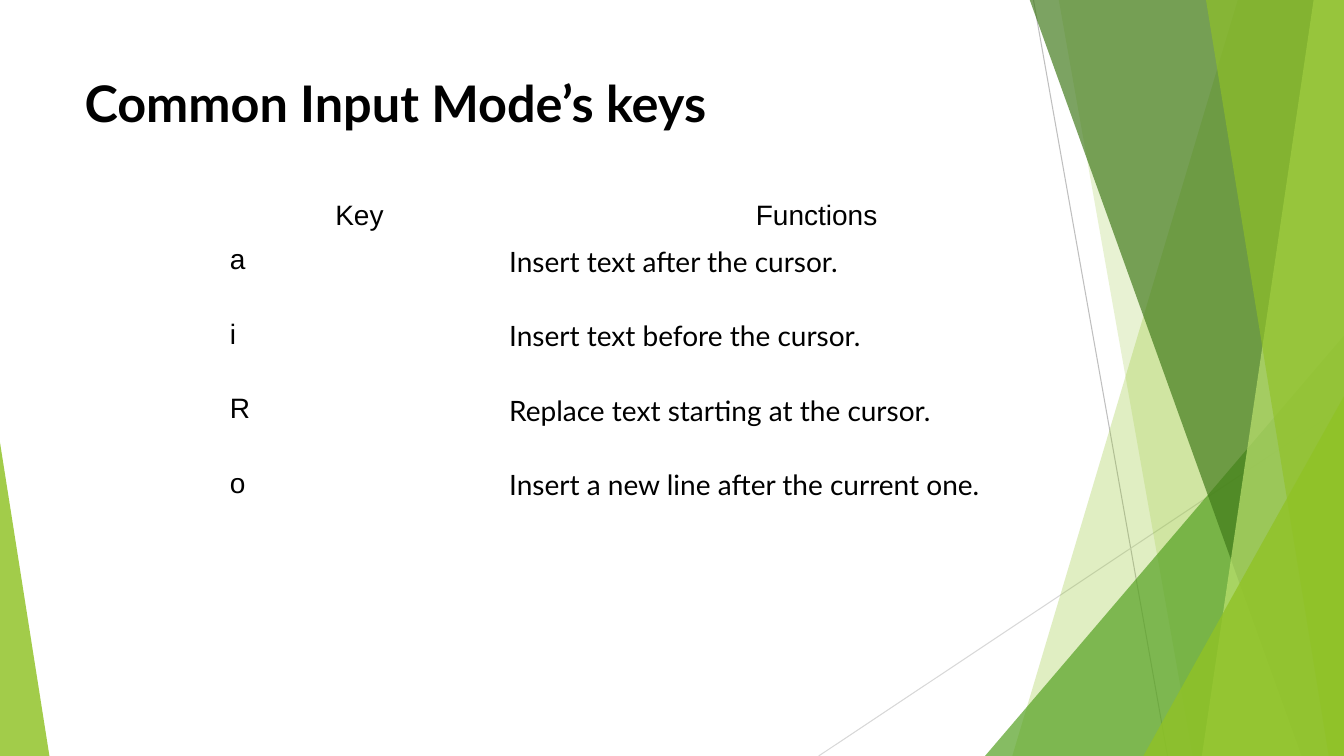
import pptx
import pptx.dml.color
import pptx.enum.shapes
import pptx.enum.text
import pptx.oxml.ns
import pptx.oxml.xmlchemy
import pptx.util
from pptx.util import Inches

RGB = pptx.dml.color.RGBColor
BLACK = RGB(0x00, 0x00, 0x00)
LIME = RGB(0x90, 0xC2, 0x26)
PALE_LIME = RGB(0xBF, 0xE4, 0x71)
GREEN = RGB(0x54, 0xA0, 0x21)
DARK_GREEN = RGB(0x3F, 0x78, 0x18)
GRAY = RGB(0xBF, 0xBF, 0xBF)
LIGHT_GRAY = RGB(0xD8, 0xD8, 0xD8)

WIDTH, HEIGHT, TOP = 13.33, 7.5, -0.01
NO_GRID_STYLE = "{2D5ABB26-0587-4C30-8999-92F81FD0307C}"

# Content
TITLE = "Common Input Mode’s keys"
KEYS = [
    ("Key", "Functions"),
    ("a", "Insert text after the cursor."),
    ("i", "Insert text before the cursor."),
    ("R", "Replace text starting at the cursor."),
    ("o", "Insert a new line after the current one."),
]
COLUMN_WIDTHS = (2.77, 6.3)
HEADER_HEIGHT, ROW_HEIGHT = 0.42, 0.74

# Decoration, from back to front
LINES = [
    ((10.25, 0), (11.58, HEIGHT), GRAY),
    ((WIDTH, 4.03), (8.12, HEIGHT), LIGHT_GRAY),
]
# A band runs to the right edge: ("band", top x, bottom x, colour, opacity %)
# A triangle: ("triangle", (left, top, width, height), apex, colour, opacity %)
FACETS = [
    ("band", 12.28, 10.04, LIME, 28),
    ("band", 10.5, 11.83, LIME, 20),
    ("triangle", (9.77, 3.33, 3.56, 4.17), 1, GREEN, 70),
    ("band", 10.21, 12.91, DARK_GREEN, 68),
    ("band", 13.03, 11.92, PALE_LIME, 68),
    ("band", 11.96, 13.18, LIME, 63),
    ("triangle", (11.34, 3.93, 1.99, 3.57), 1, LIME, 80),
    ("triangle", (0, 4.39, 0.49, 3.11), 0, LIME, 83),
]


def add_line(s, start, end, color):
    line = s.shapes.add_connector(pptx.enum.shapes.MSO_CONNECTOR.STRAIGHT,
                                  *map(Inches, start + end))
    line.line.color.rgb = color
    line.line.width = pptx.util.Pt(0.75)
    line._element.spPr.append(pptx.oxml.xmlchemy.OxmlElement("a:effectLst"))


def add_band(s, top_x, bottom_x):
    builder = s.shapes.build_freeform(Inches(top_x), Inches(TOP))
    corners = [(WIDTH, TOP), (WIDTH, HEIGHT), (bottom_x, HEIGHT)]
    builder.add_line_segments([(Inches(x), Inches(y)) for x, y in corners], close=True)
    return builder.convert_to_shape()


def add_triangle(s, box, apex):
    sp = s.shapes.add_shape(pptx.enum.shapes.MSO_SHAPE.ISOSCELES_TRIANGLE,
                            *map(Inches, box))
    sp.adjustments[0] = apex
    return sp


def paint(sp, color, opacity):
    sp.shadow.inherit = False
    sp.line.fill.background()
    sp.fill.solid()
    sp.fill.fore_color.rgb = color
    alpha = pptx.oxml.xmlchemy.OxmlElement("a:alpha")
    alpha.set("val", str(opacity * 1000))
    sp._element.spPr.find(".//" + pptx.oxml.ns.qn("a:srgbClr")).append(alpha)


def write(tf, text, font, size, bold=False):
    tf.text = text
    r = tf.paragraphs[0].runs[0]
    r.font.name, r.font.size, r.font.bold = font, pptx.util.Pt(size), bold
    r.font.color.rgb = BLACK


def add_title(s):
    tf = s.shapes.add_textbox(*map(Inches, (0.74, 0.67, 9.4, 1.44))).text_frame
    tf.word_wrap = True
    write(tf, TITLE, "Lato", 36, bold=True)


def add_key_table(s):
    height = HEADER_HEIGHT + ROW_HEIGHT * (len(KEYS) - 1)
    frame = s.shapes.add_table(len(KEYS), len(COLUMN_WIDTHS), Inches(2.18), Inches(1.94),
                               Inches(sum(COLUMN_WIDTHS)), Inches(height))
    table = frame.table
    table.horz_banding = False
    frame._element.find(".//" + pptx.oxml.ns.qn("a:tableStyleId")).text = NO_GRID_STYLE
    for column, width in zip(table.columns, COLUMN_WIDTHS):
        column.width = Inches(width)
    for i, row in enumerate(KEYS):
        table.rows[i].height = Inches(ROW_HEIGHT if i else HEADER_HEIGHT)
        for j, text in enumerate(row):
            cell = table.cell(i, j)
            cell.fill.background()
            write(cell.text_frame, text, "Lato" if i and j else "Arial", 20)
            if i == 0:
                cell.text_frame.paragraphs[0].alignment = pptx.enum.text.PP_ALIGN.CENTER


def main():
    prs = pptx.Presentation()
    prs.slide_width, prs.slide_height = Inches(WIDTH), Inches(HEIGHT)
    s = prs.slides.add_slide(prs.slide_layouts[6])

    # Background lines and facets
    for line in LINES:
        add_line(s, *line)
    makers = {"band": add_band, "triangle": add_triangle}
    for kind, first, second, color, opacity in FACETS:
        paint(makers[kind](s, first, second), color, opacity)

    # Title and table
    add_title(s)
    add_key_table(s)
    prs.save("out.pptx")


if __name__ == "__main__":
    main()
